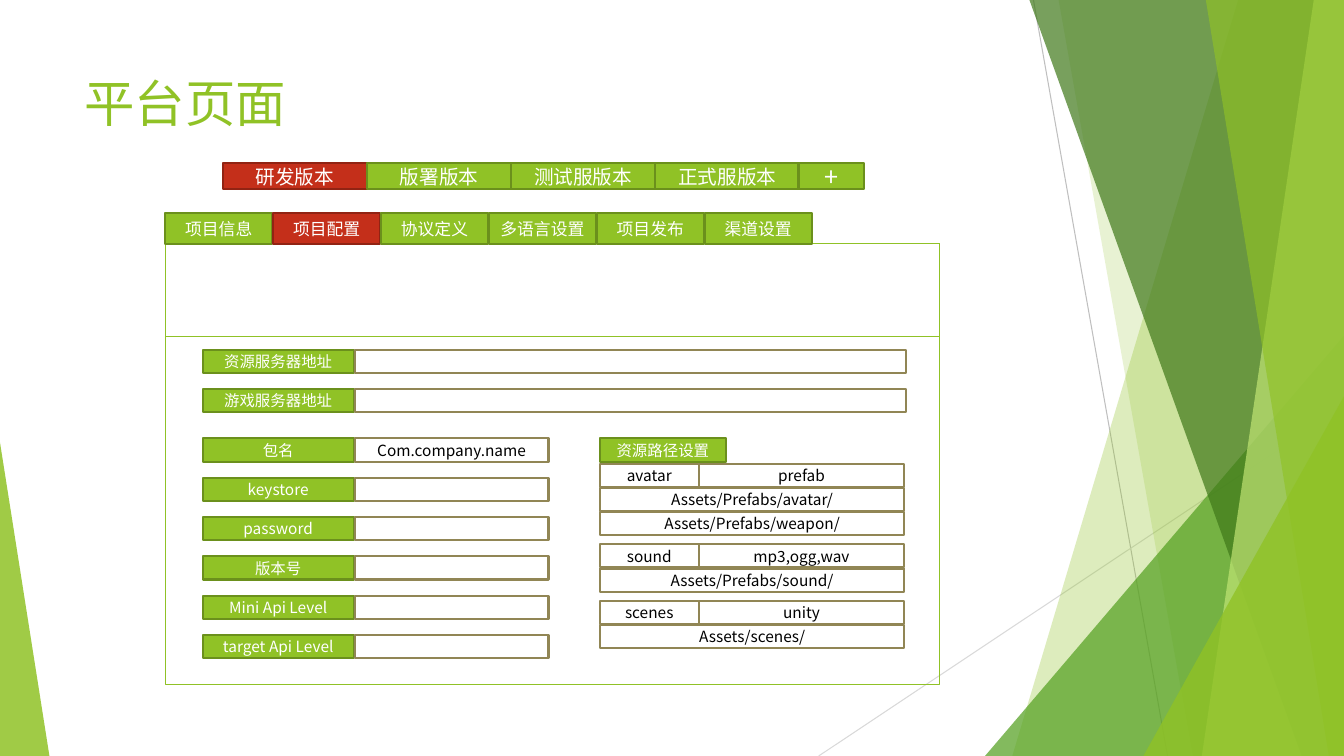
from lxml import etree
from pptx import Presentation, util as u
from pptx.dml.color import RGBColor
from pptx.enum import shapes, text
from pptx.oxml.ns import qn

GREEN, DARK_GREEN = "90C226", "6B901C"
RED, DARK_RED = "C42F1A", "912313"
WHITE, BLACK, TAN = "FFFFFF", "000000", "918655"
BODY_FONT, TITLE_FONT = "Noto Sans CJK SC", "Karla"


def color(value):
    return RGBColor.from_string(value)


class SlideBuilder:
    """Holds the style and the current slide."""

    def __init__(self, page):
        self.page = page

    def add_words(self, box, words, size, ink, font=BODY_FONT):
        para = box.text_frame.paragraphs[0]
        span = para.add_run()
        span.text = words
        span.font.size = u.Pt(size)
        span.font.name = font
        span.font.color.rgb = color(ink)
        east_asian = etree.SubElement(span.font._element, qn("a:ea"))
        east_asian.set("typeface", BODY_FONT)
        return para

    def title(self, words, left, top, width, height):
        box = self.page.shapes.add_textbox(*map(u.Inches, (left, top, width, height)))
        box.text_frame.word_wrap = True
        self.add_words(box, words, 36, GREEN, TITLE_FONT)

    def rectangle(self, left, top, width, height, fill, line, weight=1.5):
        box = self.page.shapes.add_shape(
            shapes.MSO_SHAPE.RECTANGLE, *map(u.Inches, (left, top, width, height)))
        box.shadow.inherit = False
        if fill:
            box.fill.solid()
            box.fill.fore_color.rgb = color(fill)
        else:
            box.fill.background()
        box.line.color.rgb = color(line)
        box.line.width = u.Pt(weight)
        return box

    def cell(self, words, left, top, width, height, size, fill, line, ink):
        box = self.rectangle(left, top, width, height, fill, line)
        frame = box.text_frame
        frame.word_wrap = True
        frame.margin_left = frame.margin_right = 0
        frame.vertical_anchor = text.MSO_ANCHOR.MIDDLE
        if words:
            para = self.add_words(box, words, size, ink)
            para.alignment = text.PP_ALIGN.CENTER

    def button(self, words, left, top, width, height, size, active=False):
        fill, line = (RED, DARK_RED) if active else (GREEN, DARK_GREEN)
        self.cell(words, left, top, width, height, size, fill, line, WHITE)

    def label(self, words, left, top, width):
        self.button(words, left, top, width, 0.23, 11)

    def field(self, words, left, top, width):
        self.cell(words, left, top, width, 0.23, 11, WHITE, TAN, BLACK)

    def line(self, start, end, ink):
        link = self.page.shapes.add_connector(
            shapes.MSO_CONNECTOR.STRAIGHT, *map(u.Inches, start + end))
        link.line.color.rgb = color(ink)
        link.line.width = u.Pt(0.75)
        etree.SubElement(link._element.spPr, qn("a:effectLst"))

    def tint(self, shape, fill, opacity):
        shape.shadow.inherit = False
        shape.line.fill.background()
        shape.fill.solid()
        shape.fill.fore_color.rgb = color(fill)
        tone = shape._element.spPr.find(qn("a:solidFill"))[0]
        etree.SubElement(tone, qn("a:alpha")).set("val", str(opacity * 1000))

    def facet(self, corners, fill, opacity):
        points = [(u.Inches(x), u.Inches(y)) for x, y in corners]
        outline = self.page.shapes.build_freeform(*points[0])
        outline.add_line_segments(points[1:], close=True)
        self.tint(outline.convert_to_shape(), fill, opacity)

    def triangle(self, left, top, width, apex, fill, opacity):
        shape = self.page.shapes.add_shape(
            shapes.MSO_SHAPE.ISOSCELES_TRIANGLE,
            *map(u.Inches, (left, top, width, 7.5 - top)))
        shape.adjustments[0] = apex
        self.tint(shape, fill, opacity)


def draw_background(slide):
    def right_facet(top_x, bottom_x, fill, opacity):
        corners = [(top_x, 0), (13.33, 0), (13.33, 7.5), (bottom_x, 7.5)]
        slide.facet(corners, fill, opacity)

    slide.line((10.25, 0), (11.58, 7.5), "BFBFBF")
    slide.line((13.33, 4.03), (8.12, 7.5), "D9D9D9")
    right_facet(12.28, 10.04, GREEN, 30)
    right_facet(10.5, 11.83, GREEN, 20)
    slide.triangle(9.77, 3.33, 3.56, 1, "54A021", 72)
    right_facet(10.21, 12.91, "3F7819", 70)
    right_facet(13.03, 11.92, "C0E474", 70)
    right_facet(11.96, 13.18, GREEN, 65)
    slide.triangle(11.34, 3.93, 1.99, 1, GREEN, 80)
    slide.triangle(0, 4.39, 0.49, 0, GREEN, 85)


def draw_tabs(slide):
    # Version tabs
    versions = ["研发版本", "版署版本", "测试服版本", "正式服版本"]
    for i, name in enumerate(versions):
        slide.button(name, 2.21 + 1.43 * i, 1.62, 1.43, 0.26, 14, active=i == 0)
    slide.button("+", 7.92, 1.62, 0.65, 0.26, 18)

    # Panel frame and its header area
    for height in (4.37, 0.92):
        slide.rectangle(1.64, 2.42, 7.68, height, None, GREEN, 0.75)

    # Section tabs
    sections = ["项目信息", "项目配置", "协议定义", "多语言设置", "项目发布", "渠道设置"]
    for i, name in enumerate(sections):
        slide.button(name, 1.64 + 1.07 * i, 2.11, 1.06, 0.31, 12, active=i == 1)


def draw_form(slide):
    # Server addresses, then package settings
    servers = [("资源服务器地址", ""), ("游戏服务器地址", "")]
    settings = [("包名", "Com.company.name"), ("keystore", ""), ("password", ""),
                ("版本号", ""), ("Mini Api Level", ""), ("target Api Level", "")]
    for rows, first_top, width in ((servers, 3.47, 5.47), (settings, 4.35, 1.92)):
        for i, (name, value) in enumerate(rows):
            top = first_top + 0.39 * i
            slide.label(name, 2.01, top, 1.5)
            slide.field(value, 3.52, top, width)

    # Resource paths
    left = 5.95
    slide.label("资源路径设置", left, 4.35, 1.25)
    resources = [
        (4.6, "avatar", "prefab", ["Assets/Prefabs/avatar/", "Assets/Prefabs/weapon/"]),
        (5.4, "sound", "mp3,ogg,wav", ["Assets/Prefabs/sound/"]),
        (5.96, "scenes", "unity", ["Assets/scenes/"]),
    ]
    for top, kind, formats, folders in resources:
        slide.field(kind, left, top, 0.98)
        slide.field(formats, left + 0.98, top, 2.04)
        for i, folder in enumerate(folders, 1):
            slide.field(folder, left, top + 0.24 * i, 3.02)


def main():
    deck = Presentation()
    deck.slide_width, deck.slide_height = u.Inches(13.33), u.Inches(7.5)
    slide = SlideBuilder(deck.slides.add_slide(deck.slide_layouts[6]))
    draw_background(slide)
    slide.title("平台页面", 0.74, 0.67, 9.4, 1.44)
    draw_tabs(slide)
    draw_form(slide)
    deck.save("out.pptx")


if __name__ == "__main__":
    main()
